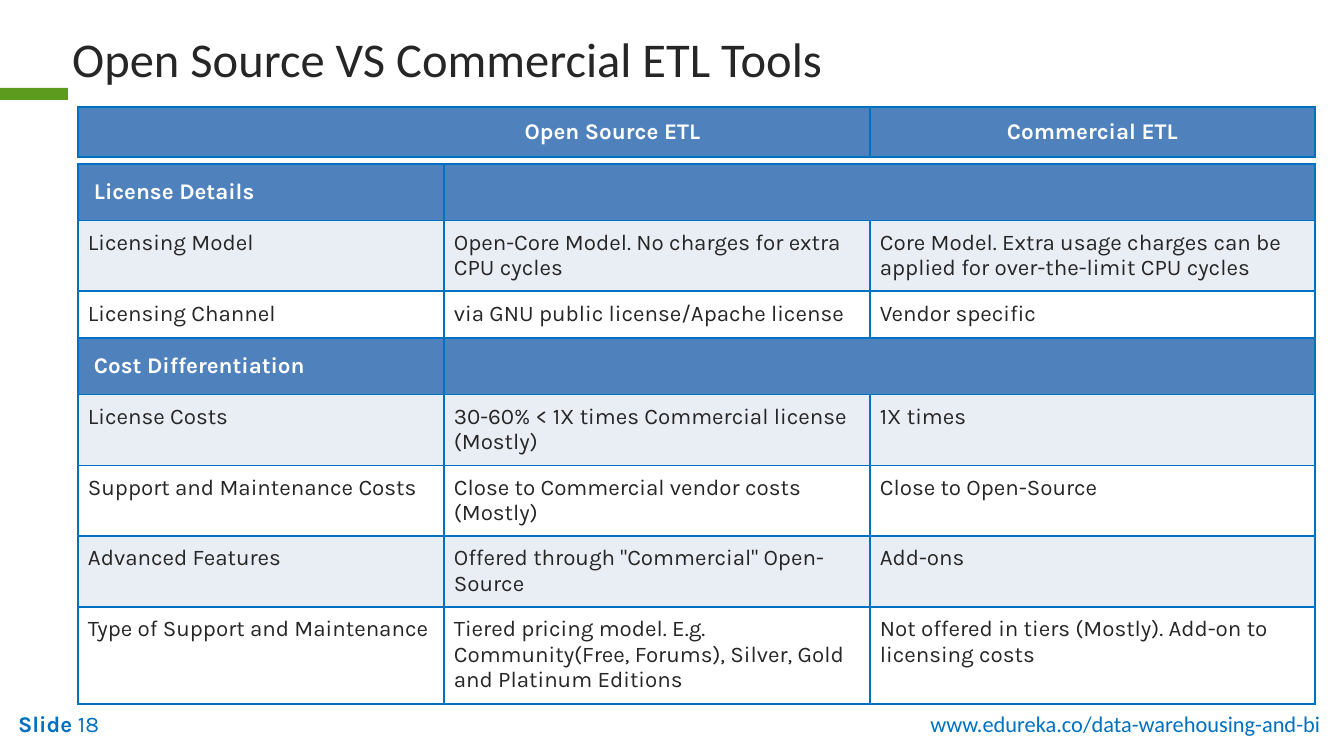
from lxml.etree import SubElement
from pptx import Presentation
from pptx.dml.color import RGBColor
from pptx.enum.shapes import MSO_SHAPE
from pptx.enum.text import MSO_ANCHOR, PP_ALIGN
from pptx.oxml.ns import qn
from pptx.util import Emu, Pt

PX_PER_INCH = 134.4
COLORS = {
    "accent": "5C9B1D", "blue": "0070C0", "header": "4F81BD",
    "band": "E9EDF4", "white": "FFFFFF", "ink": "262626",
}
TABLE_LEFT = 78
COLS = [366, 426, 445]

LICENSE_ROWS = [
    ("Licensing Model", "Open-Core Model. No charges for extra CPU cycles",
     "Core Model. Extra usage charges can be applied for over-the-limit CPU cycles"),
    ("Licensing Channel", "via GNU public license/Apache license", "Vendor specific"),
]
COST_ROWS = [
    ("License Costs", "30-60% < 1X times Commercial license (Mostly)", "1X times"),
    ("Support and Maintenance Costs", "Close to Commercial vendor costs (Mostly)",
     "Close to Open-Source"),
    ("Advanced Features", 'Offered through "Commercial" Open-Source', "Add-ons"),
    ("Type of Support and Maintenance",
     "Tiered pricing model. E.g. Community(Free, Forums), Silver, Gold and Platinum Editions",
     "Not offered in tiers (Mostly). Add-on to licensing costs"),
]


def px(n):
    return Emu(round(n * 914400 / PX_PER_INCH))


def rgb(name):
    return RGBColor.from_string(COLORS[name])


def add_run(p, text, color, size=12, font="Karla", bold=False):
    r = p.add_run()
    r.text = text
    r.font.size, r.font.name, r.font.bold = Pt(size), font, bold
    r.font.color.rgb = rgb(color)


def add_text(s, x, y, w, h, runs, align=PP_ALIGN.LEFT):
    tf = s.shapes.add_textbox(px(x), px(y), px(w), px(h)).text_frame
    tf.word_wrap = True
    p = tf.paragraphs[0]
    p.alignment = align
    for text, style in runs:
        add_run(p, text, **style)


def set_borders(cell):
    tc_pr = cell._tc.get_or_add_tcPr()
    for side in ("lnL", "lnR", "lnT", "lnB"):
        ln = SubElement(tc_pr, qn(f"a:{side}"), w=str(Pt(1)))
        fill = SubElement(ln, qn("a:solidFill"))
        SubElement(fill, qn("a:srgbClr"), val=COLORS["blue"])


def style_cell(cell, fill, margin_x, margin_y):
    set_borders(cell)
    cell.fill.solid()
    cell.fill.fore_color.rgb = rgb(fill)
    cell.margin_left = cell.margin_right = px(margin_x)
    cell.margin_top = cell.margin_bottom = px(margin_y)


def header_cell(cell, text, align=PP_ALIGN.LEFT):
    style_cell(cell, "header", 16, 8)
    cell.vertical_anchor = MSO_ANCHOR.MIDDLE
    p = cell.text_frame.paragraphs[0]
    p.alignment = align
    add_run(p, text, "white", bold=True)


def body_cell(cell, text, fill):
    style_cell(cell, fill, 10, 10)
    p = cell.text_frame.paragraphs[0]
    p.line_spacing = Pt(13.6)
    add_run(p, text, "ink")


def add_grid(s, y, cols, heights):
    frame = s.shapes.add_table(len(heights), len(cols), px(TABLE_LEFT), px(y),
                               px(sum(cols)), px(sum(heights)))
    table = frame.table
    table.first_row = table.horz_banding = False
    for col, w in zip(table.columns, cols):
        col.width = px(w)
    for row, h in zip(table.rows, heights):
        row.height = px(h)
    return table


def add_section(s, y, title, rows, heights):
    table = add_grid(s, y, COLS, heights)
    for c, text in enumerate((title, "", "")):
        header_cell(table.cell(0, c), text)
    table.cell(0, 1).merge(table.cell(0, 2))
    for i, row in enumerate(rows):
        fill = "white" if i % 2 else "band"
        for c, text in enumerate(row):
            body_cell(table.cell(i + 1, c), text, fill)


def add_column_heads(s):
    table = add_grid(s, 107, [COLS[0] + COLS[1], COLS[2]], [50])
    for c, text in enumerate(("Open Source ETL", "Commercial ETL")):
        header_cell(table.cell(0, c), text, PP_ALIGN.CENTER)
    # A wide left margin moves the heading towards the second column
    table.cell(0, 0).margin_left = px(293)


def main():
    prs = Presentation()
    prs.slide_width, prs.slide_height = px(1344), px(756)
    s = prs.slides.add_slide(prs.slide_layouts[6])

    # Accent bar
    bar = s.shapes.add_shape(MSO_SHAPE.RECTANGLE, 0, px(88), px(68), px(12))
    bar.shadow.inherit = False
    bar.fill.solid()
    bar.fill.fore_color.rgb = rgb("accent")
    bar.line.fill.background()

    # Footer
    add_text(s, 5, 704, 212, 40, [
        ("Slide ", {"color": "blue", "bold": True}), ("18", {"color": "blue"})])
    add_text(s, 907, 704, 437, 40, [
        ("www.edureka.co/data-warehousing-and-bi", {"color": "blue", "font": "Calibri"})],
        PP_ALIGN.CENTER)

    # Title
    add_text(s, 59, 22, 1263, 72, [
        ("Open Source VS Commercial ETL Tools",
         {"color": "ink", "size": 26, "font": "Calibri"})])

    # Comparison tables
    add_column_heads(s)
    add_section(s, 164, "License Details", LICENSE_ROWS, [50, 71, 53])
    add_section(s, 338, "Cost Differentiation", COST_ROWS, [48, 71, 71, 71, 97])

    prs.save("out.pptx")


if __name__ == "__main__":
    main()
